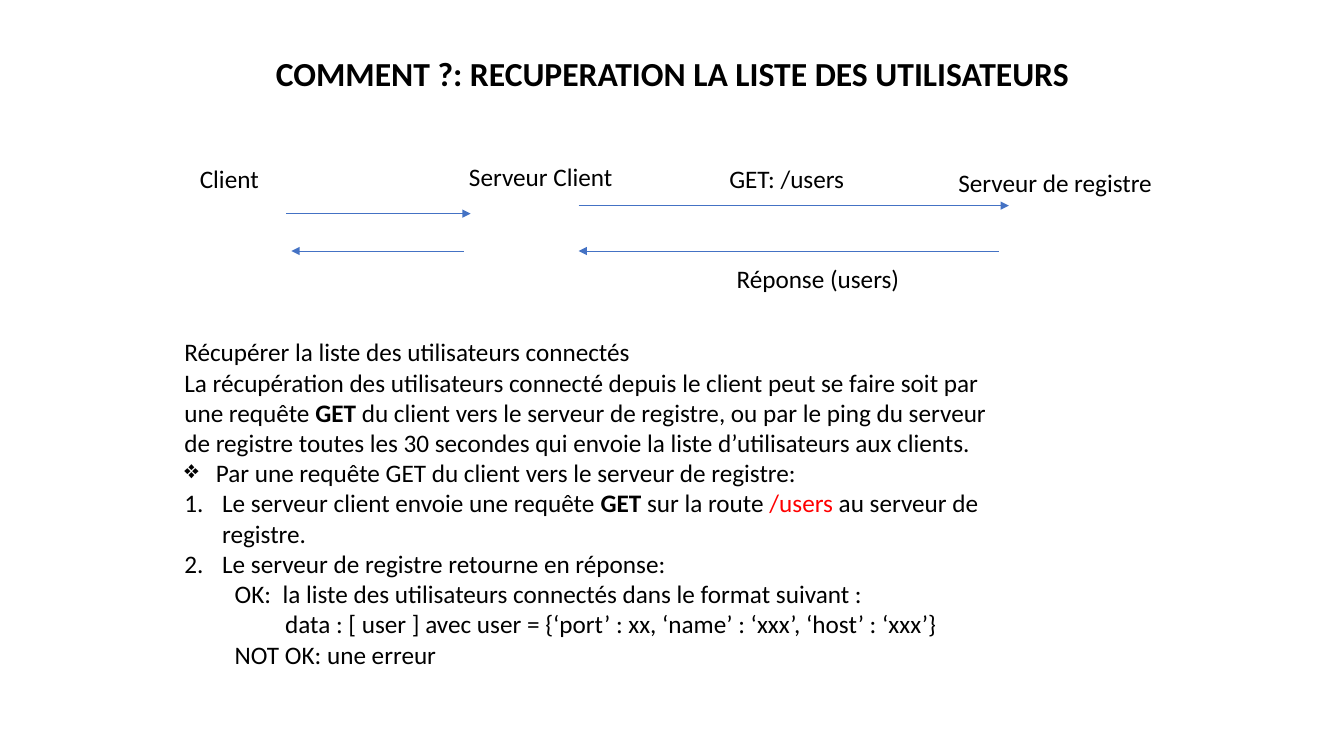
import pptx
import pptx.util
import pptx.dml.color
import pptx.enum.shapes
import pptx.enum.text
import pptx.oxml.ns
from lxml import etree

Pt = pptx.util.Pt
ALIGN = pptx.enum.text.PP_ALIGN
COLORS = {"text": "000000", "path": "FF0000", "arrow": "4472C4"}


def sub(parent, tag, **attrs):
    """Append a drawing element to parent."""
    return etree.SubElement(parent, pptx.oxml.ns.qn(tag), attrs)


def style(run, size=18, bold=False, color="text"):
    run.font.name = "Calibri"
    run.font.size = Pt(size)
    run.font.bold = bold
    run.font.color.rgb = pptx.dml.color.RGBColor.from_string(COLORS[color])


deck = pptx.Presentation()
deck.slide_width, deck.slide_height = Pt(960), Pt(540)
slide = deck.slides.add_slide(deck.slide_layouts[6])

# Arrows: start x, end x, y
arrows = [
    (413.3, 720.7, 146.9),
    (713.5, 413.3, 179.3),
    (204.5, 336.2, 152.6),
    (331.2, 208.1, 179.3),
]
for start, end, y in arrows:
    line = slide.shapes.add_connector(
        pptx.enum.shapes.MSO_CONNECTOR.STRAIGHT, Pt(start), Pt(y), Pt(end), Pt(y))
    line.line.width = Pt(0.5)
    line.line.color.rgb = pptx.dml.color.RGBColor.from_string(COLORS["arrow"])
    sub(line.line._get_or_add_ln(), "a:tailEnd", type="triangle")
    sub(line._element.spPr, "a:effectLst")

# Title and labels: text, left, top, width, height, alignment, size, bold
labels = [
    ("COMMENT ?: RECUPERATION LA LISTE DES UTILISATEURS",
     135.4, 34.6, 689.8, 36, ALIGN.CENTER, 24, True),
    ("Client", 119.5, 113, 88.6, 28.8, ALIGN.CENTER, 18, False),
    ("Serveur Client", 324.7, 111.6, 123.1, 28.8, ALIGN.CENTER, 18, False),
    ("GET: /users", 496.1, 113, 131.8, 28.8, ALIGN.CENTER, 18, False),
    ("Serveur de registre", 677.5, 115.9, 180, 51.1, ALIGN.LEFT, 18, False),
    ("Réponse (users)", 512.6, 184.3, 143.3, 28.8, ALIGN.CENTER, 18, False),
]
for text, left, top, width, height, align, size, bold in labels:
    box = slide.shapes.add_textbox(Pt(left), Pt(top), Pt(width), Pt(height))
    box.text_frame.word_wrap = True
    box.text_frame.text = text
    para = box.text_frame.paragraphs[0]
    para.alignment = align
    style(para.runs[0], size, bold)

# Body: level, left margin, hanging indent, bullet, runs with their format
BOLD, PATH = {"bold": True}, {"color": "path"}
body = [
    (0, 0, 0, None, [("Récupérer la liste des utilisateurs connectés", {})]),
    (0, 0, 0, None, [
        ("La récupération des utilisateurs connecté depuis le client peut se "
         "faire soit par une requête ", {}),
        ("GET", BOLD),
        (" du client vers le serveur de registre, ou par le ping du serveur de "
         "registre toutes les 30 secondes qui envoie la liste d’utilisateurs "
         "aux clients.", {})]),
    (0, 22.5, 22.5, "❖",
     [("Par une requête GET du client vers le serveur de registre:", {})]),
    (0, 27, 27, "1.", [
        ("Le serveur client envoie une requête ", {}),
        ("GET", BOLD),
        (" sur la route", {}),
        (" /users ", PATH),
        ("au serveur de registre.", {})]),
    (0, 27, 27, "1.", [("Le serveur de registre retourne en réponse:", {})]),
    (1, 36, 0, None,
     [("OK:  la liste des utilisateurs connectés dans le format suivant :", {})]),
    (1, 36, 0, None,
     [("\tdata : [ user ] avec user = {‘port’ : xx, ‘name’ : ‘xxx’, "
       "‘host’ : ‘xxx’}", {})]),
    (1, 36, 0, None, [("NOT OK: une erreur", {})]),
]
box = slide.shapes.add_textbox(Pt(124.6), Pt(236.9), Pt(609.1), Pt(290.9))
frame = box.text_frame
frame.word_wrap = True
for index, (level, margin, hang, bullet, parts) in enumerate(body):
    para = frame.add_paragraph() if index else frame.paragraphs[0]
    para.level = level
    props = para._p.get_or_add_pPr()
    props.set("marL", str(Pt(margin)))
    props.set("indent", str(-Pt(hang)))
    if bullet == "1.":
        sub(props, "a:buAutoNum", type="arabicPeriod")
    elif bullet:
        sub(props, "a:buChar", char=bullet)
    for text, look in parts:
        run = para.add_run()
        run.text = text
        style(run, **look)

deck.save("out.pptx")
